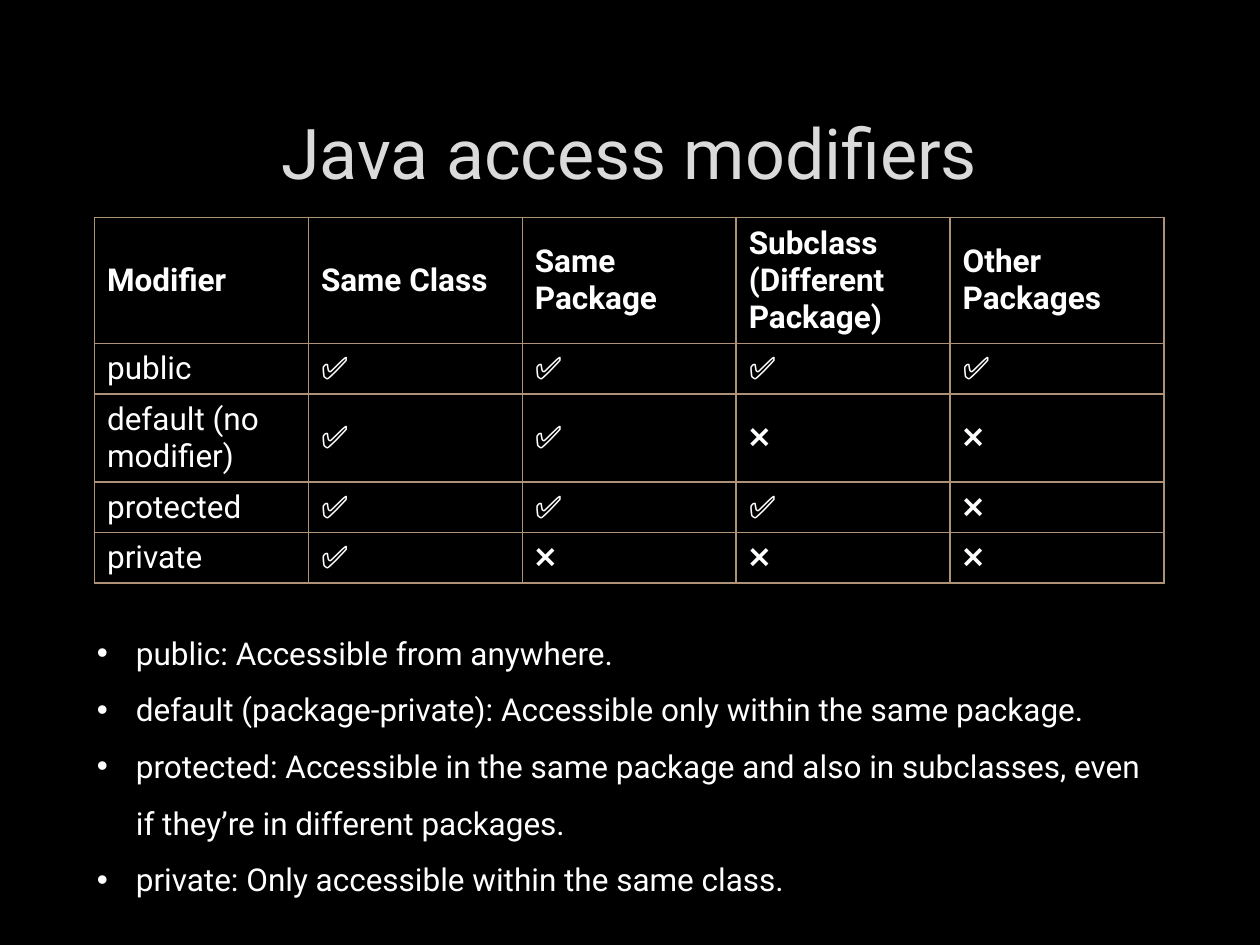
from dataclasses import dataclass

from lxml.etree import SubElement
from pptx import Presentation
from pptx.dml.color import RGBColor
from pptx.enum.text import MSO_ANCHOR, MSO_AUTO_SIZE, PP_ALIGN
from pptx.oxml import parse_xml
from pptx.oxml.ns import nsdecls, qn
from pptx.slide import Slide
from pptx.util import Inches, Pt

BLACK = RGBColor(0x00, 0x00, 0x00)
WHITE = RGBColor(0xFF, 0xFF, 0xFF)
SILVER = RGBColor(0xDA, 0xDA, 0xDA)
CHARCOAL = RGBColor(0x40, 0x40, 0x40)
BRONZE = RGBColor(0xAD, 0x92, 0x77)

WIDTH, HEIGHT = 10, 7.5
LEFT, CONTENT_WIDTH = 0.075, 0.849
YES, NO = "✅", "❌"

HEADINGS = ["Modifier", "Same Class", "Same Package",
            "Subclass (Different Package)", "Other Packages"]
ACCESS = [
    ("public", 4),
    ("default (no modifier)", 2),
    ("protected", 3),
    ("private", 1),
]
ROW_HEIGHTS = [1, 0.4, 0.7, 0.4, 0.4]
EXPLANATIONS = [
    "public: Accessible from anywhere.",
    "default (package-private): Accessible only within the same package.",
    "protected: Accessible in the same package and also in subclasses, "
    "even if they’re in different packages.",
    "private: Only accessible within the same class.",
]


def line_xml(tag, color, points, opacity=100):
    return parse_xml(
        f'<a:{tag} {nsdecls("a")} w="{Pt(points)}"><a:solidFill>'
        f'<a:srgbClr val="{color}"><a:alpha val="{opacity * 1000}"/></a:srgbClr>'
        f'</a:solidFill><a:prstDash val="solid"/></a:{tag}>')


@dataclass
class Deck:
    slide: Slide
    font: str = "Roboto"
    body_size: int = 18

    def area(self, left, top, width, height):
        return (Inches(left * WIDTH), Inches(top * HEIGHT),
                Inches(width * WIDTH), Inches(height * HEIGHT))

    def run(self, paragraph, text, size=None, color=WHITE, bold=False):
        run = paragraph.add_run()
        run.text = text
        run.font.name = self.font
        run.font.size = Pt(size or self.body_size)
        run.font.bold = bold
        run.font.color.rgb = color
        return run

    def frame(self, *shares):
        frame = self.slide.shapes.add_textbox(*self.area(*shares)).text_frame
        frame.word_wrap = True
        return frame

    def title(self, text, *shares):
        frame = self.frame(*shares)
        frame.vertical_anchor = MSO_ANCHOR.MIDDLE
        heading = frame.paragraphs[0]
        heading.alignment = PP_ALIGN.CENTER
        run = self.run(heading, text, 40, SILVER)
        run.font._element.insert(0, line_xml("ln", CHARCOAL, 0.75, 10))

    def cell(self, cell, text, bold):
        cell.vertical_anchor = MSO_ANCHOR.MIDDLE
        cell.fill.background()
        self.run(cell.text_frame.paragraphs[0], text, bold=bold)
        properties = cell._tc.get_or_add_tcPr()
        for position, side in enumerate(("lnL", "lnR", "lnT", "lnB")):
            properties.insert(position, line_xml(side, BRONZE, 1))

    def table(self, rows, heights, *shares):
        table = self.slide.shapes.add_table(
            len(rows), len(rows[0]), *self.area(*shares)).table
        table.horz_banding = False
        for r, (texts, height) in enumerate(zip(rows, heights)):
            table.rows[r].height = Inches(height)
            for c, text in enumerate(texts):
                self.cell(table.cell(r, c), text, bold=r == 0)

    def bullets(self, items, *shares):
        frame = self.frame(*shares)
        frame.auto_size = MSO_AUTO_SIZE.SHAPE_TO_FIT_TEXT
        for i, item in enumerate(items):
            paragraph = frame.add_paragraph() if i else frame.paragraphs[0]
            paragraph.line_spacing = 1.5
            properties = paragraph._p.get_or_add_pPr()
            properties.set("marL", str(Inches(0.31)))
            properties.set("indent", str(Inches(-0.31)))
            SubElement(properties, qn("a:buFont"), typeface="Arial")
            SubElement(properties, qn("a:buChar"), char="•")
            self.run(paragraph, item)


def main():
    presentation = Presentation()
    presentation.slide_width = Inches(WIDTH)
    presentation.slide_height = Inches(HEIGHT)
    slide = presentation.slides.add_slide(presentation.slide_layouts[6])
    slide.background.fill.solid()
    slide.background.fill.fore_color.rgb = BLACK

    deck = Deck(slide)
    deck.title("Java access modifiers", LEFT, 0.09, CONTENT_WIDTH, 0.14)
    scopes = len(HEADINGS) - 1
    rows = [HEADINGS] + [[modifier] + [YES] * reach + [NO] * (scopes - reach)
                         for modifier, reach in ACCESS]
    deck.table(rows, ROW_HEIGHTS, LEFT, 0.23, CONTENT_WIDTH, 0.39)
    deck.bullets(EXPLANATIONS, 0.067, 0.644, 0.858, 0.31)
    presentation.save("out.pptx")


if __name__ == "__main__":
    main()
